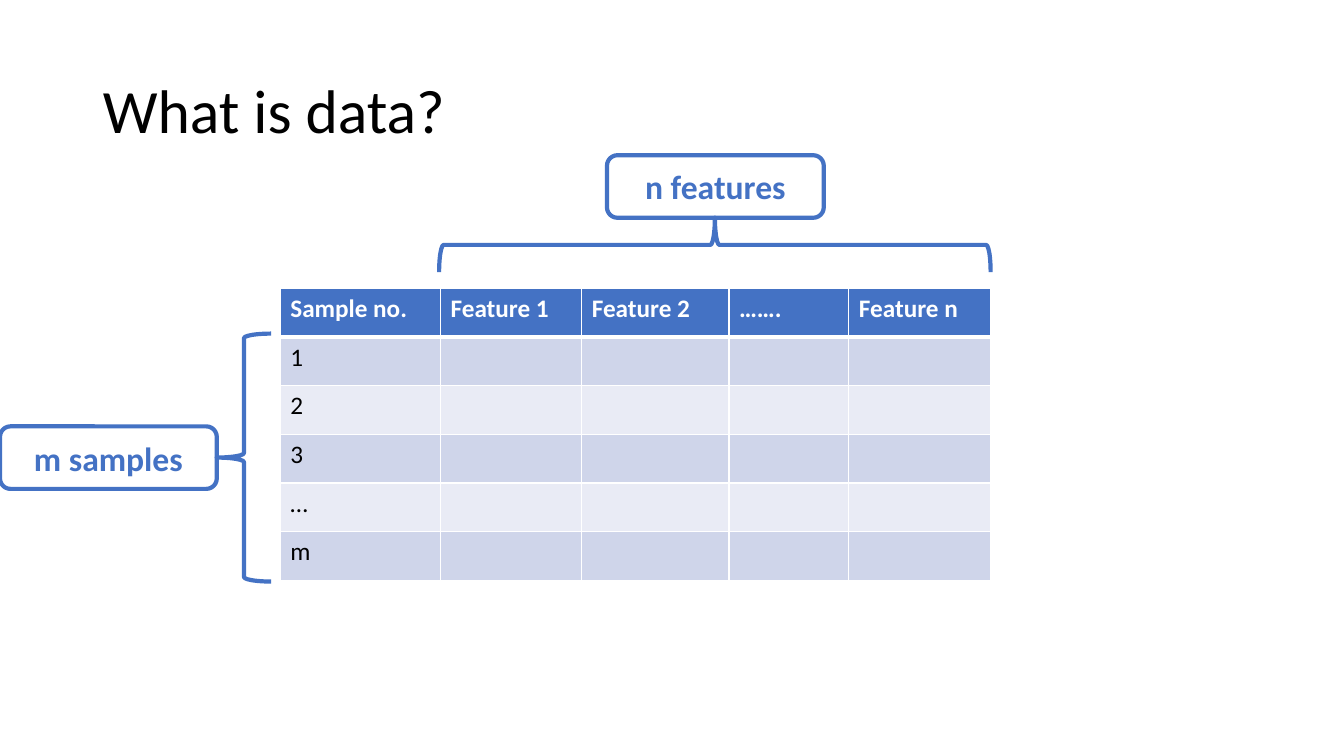
from lxml.etree import SubElement
from pptx import Presentation
from pptx.dml.color import RGBColor
from pptx.enum.shapes import MSO_SHAPE
from pptx.enum.text import MSO_ANCHOR, MSO_AUTO_SIZE, PP_ALIGN
from pptx.oxml.ns import qn
from pptx.util import Inches, Pt

TITLE = "What is data?"
HEADERS = ["Sample no.", "Feature 1", "Feature 2", "…….", "Feature n"]
SAMPLES = ["1", "2", "3", "…", "m"]
COLUMN_WIDTHS = [1.59, 1.4, 1.46, 1.19, 1.41]
ROW_HEIGHT = 2.9 / 6
TABLE_LEFT, TABLE_TOP = 2.78, 2.86
LABEL_WIDTH, LABEL_HEIGHT = 2.15, 0.62
BRACE_DEPTH = 0.54
BLUE, WHITE, BLACK = "4472C4", "FFFFFF", "000000"
BANDS = ["CFD5EA", "E9EBF5"]

# label, label left and top, brace centre x and y, brace length, brace rotation
GROUPS = [
    ("n features", 6.02, 1.54, 7.09, 2.43, 5.47, 90),
    ("m samples", 0, 4.23, 2.42, 4.54, 2.46, 0),
]


def color(value):
    return RGBColor.from_string(value)


def format_font(paragraph, size, value, bold=False):
    settings = {"name": "Calibri", "size": Pt(size), "bold": bold}
    for name, setting in settings.items():
        setattr(paragraph.font, name, setting)
    paragraph.font.color.rgb = color(value)


def add_outlined(slide, kind, left, top, width, height):
    shape = slide.shapes.add_shape(
        kind, Inches(left), Inches(top), Inches(width), Inches(height))
    shape.shadow.inherit = False
    shape.line.color.rgb = color(BLUE)
    shape.line.width = Pt(3)
    return shape


def add_labelled_brace(slide, text, left, top, center_x, center_y, length, rotation):
    label = add_outlined(slide, MSO_SHAPE.ROUNDED_RECTANGLE,
                         left, top, LABEL_WIDTH, LABEL_HEIGHT)
    label.fill.solid()
    label.fill.fore_color.rgb = color(WHITE)
    label.text_frame.text = text
    label.text_frame.vertical_anchor = MSO_ANCHOR.MIDDLE
    paragraph = label.text_frame.paragraphs[0]
    paragraph.alignment = PP_ALIGN.CENTER
    format_font(paragraph, 24, BLUE, True)

    brace = add_outlined(slide, MSO_SHAPE.LEFT_BRACE, center_x - BRACE_DEPTH / 2,
                         center_y - length / 2, BRACE_DEPTH, length)
    brace.fill.background()
    brace.rotation = rotation


def set_borders(cell, widths):
    """Draw white cell borders; widths maps a side (L, R, T, B) to points."""
    properties = cell._tc.get_or_add_tcPr()
    for side, width in widths.items():
        line = SubElement(properties, qn(f"a:ln{side}"), w=str(Pt(width)))
        fill = SubElement(line, qn("a:solidFill"))
        SubElement(fill, qn("a:srgbClr"), val=WHITE)


def add_data_table(slide):
    rows = [HEADERS] + [[sample] + [""] * (len(HEADERS) - 1) for sample in SAMPLES]
    table = slide.shapes.add_table(
        len(rows), len(HEADERS), Inches(TABLE_LEFT), Inches(TABLE_TOP),
        Inches(sum(COLUMN_WIDTHS)), Inches(ROW_HEIGHT * len(rows))).table
    for column, width in zip(table.columns, COLUMN_WIDTHS):
        column.width = Inches(width)
    for row_index, values in enumerate(rows):
        table.rows[row_index].height = Inches(ROW_HEIGHT)
        header = row_index == 0
        for column_index, text in enumerate(values):
            cell = table.cell(row_index, column_index)
            set_borders(cell, {"L": 1, "R": 1, "T": 3 if row_index == 1 else 1,
                               "B": 3 if header else 1})
            cell.fill.solid()
            cell.fill.fore_color.rgb = color(BLUE if header else BANDS[(row_index - 1) % 2])
            cell.text = text
            format_font(cell.text_frame.paragraphs[0], 18,
                        WHITE if header else BLACK, header)


def add_title(slide):
    title = slide.shapes.title
    box = {"left": 0.92, "top": 0.4, "width": 11.5, "height": 1.45}
    for name, value in box.items():
        setattr(title, name, Inches(value))
    frame = title.text_frame
    frame.text = TITLE
    frame.auto_size = MSO_AUTO_SIZE.NONE
    frame.vertical_anchor = MSO_ANCHOR.MIDDLE
    paragraph = frame.paragraphs[0]
    paragraph.alignment = PP_ALIGN.LEFT
    paragraph.line_spacing = 0.9
    format_font(paragraph, 44, BLACK)


def main():
    presentation = Presentation()
    presentation.slide_width = Inches(13.33)
    presentation.slide_height = Inches(7.5)
    slide = presentation.slides.add_slide(presentation.slide_layouts[5])
    add_title(slide)
    add_data_table(slide)
    for group in GROUPS:
        add_labelled_brace(slide, *group)
    presentation.save("out.pptx")


if __name__ == "__main__":
    main()
